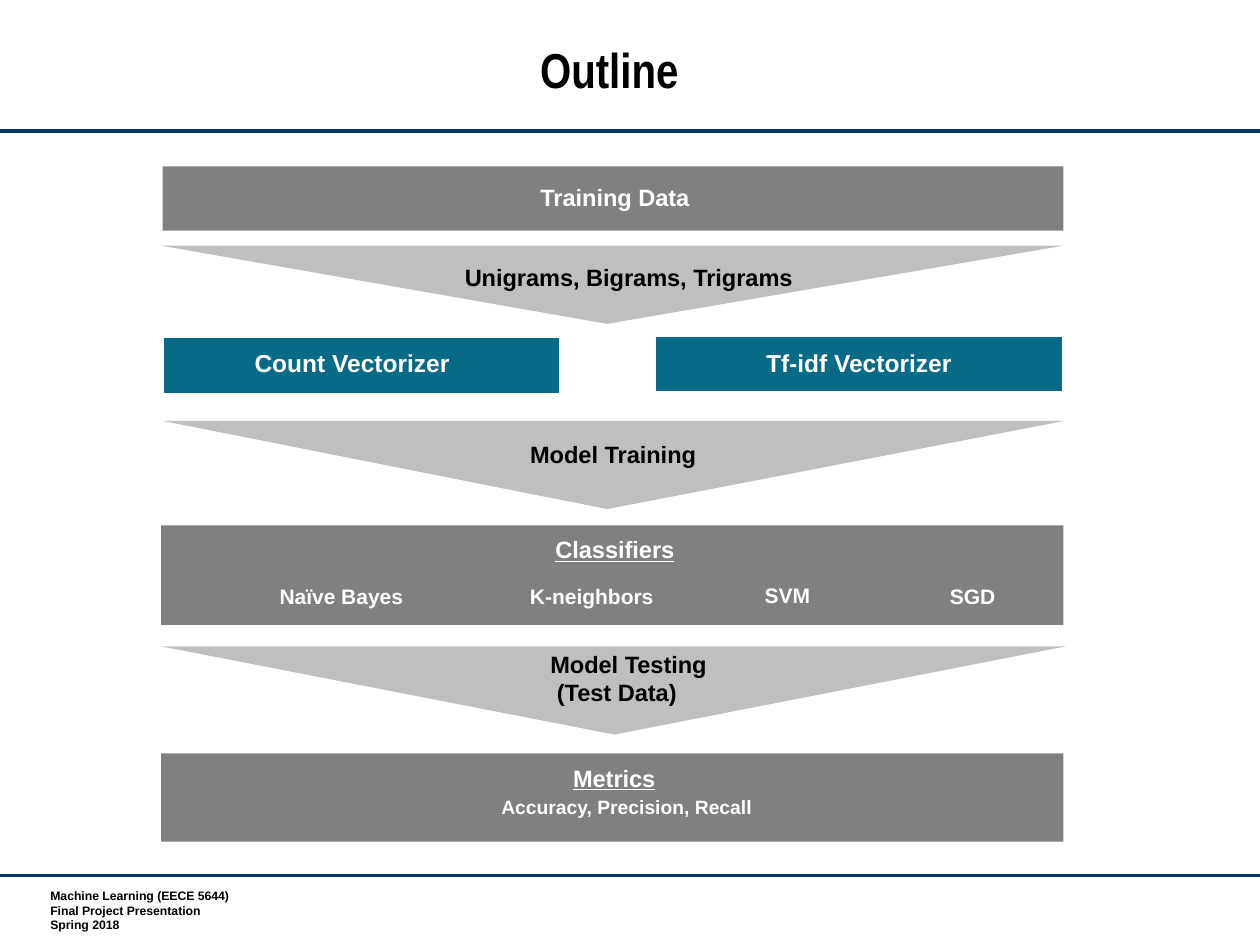
from dataclasses import dataclass

from lxml import etree
from pptx import Presentation
from pptx import util as u
from pptx.dml.color import RGBColor
from pptx.enum import shapes, text
from pptx.oxml.ns import qn


@dataclass(frozen=True)
class Theme:
    navy: str = "003767"
    grey: str = "808080"
    light: str = "BFBFBF"
    teal: str = "086A87"
    white: str = "FFFFFF"
    black: str = "000000"
    font: str = "Arial"
    title_font: str = "Arial Narrow"
    title: float = 28
    box: float = 14
    stage: float = 13.5
    item: float = 12
    detail: float = 11
    footer: float = 7


T = Theme()
INSET = (0.1, 0.05, 0.1, 0.05)


def inches(box):
    return [u.Inches(v) for v in box]


def within(box, x, y, w, h):
    return (box[0] + x, box[1] + y, w, h)


def write(sp, lines, size, color, font=T.font, align=text.PP_ALIGN.LEFT,
          anchor=text.MSO_ANCHOR.TOP, inset=INSET, underline=False):
    tf = sp.text_frame
    tf.word_wrap = True
    tf.vertical_anchor = anchor
    tf.margin_left, tf.margin_top, tf.margin_right, tf.margin_bottom = inches(inset)
    tf.text = lines
    for p in tf.paragraphs:
        p.alignment = align
        for r in p.runs:
            r.font.name = font
            r.font.size = u.Pt(size)
            r.font.bold = True
            r.font.underline = underline
            r.font.color.rgb = RGBColor.from_string(color)
    return tf


def label(s, box, lines, size, color, **style):
    return write(s.shapes.add_textbox(*inches(box)), lines, size, color, **style)


def block(s, box, fill, kind=shapes.MSO_SHAPE.RECTANGLE, line=None):
    sp = s.shapes.add_shape(kind, *inches(box))
    sp.shadow.inherit = False
    sp.fill.solid()
    sp.fill.fore_color.rgb = RGBColor.from_string(fill)
    if line:
        sp.line.color.rgb = RGBColor.from_string(line)
        sp.line.width = u.Pt(2)
    else:
        sp.line.fill.background()
    return sp


def rule(s, y):
    c = s.shapes.add_connector(shapes.MSO_CONNECTOR.STRAIGHT, *inches((0, y, 10, y)))
    c.line.color.rgb = RGBColor.from_string(T.navy)
    c.line.width = u.Pt(1.75)
    etree.SubElement(c._element.spPr, qn("a:effectLst"))


def header(s, box):
    rule(s, box[1] + 0.9)
    tf = label(s, box, "Outline ", T.title, T.black, font=T.title_font,
               align=text.PP_ALIGN.CENTER, anchor=text.MSO_ANCHOR.MIDDLE)
    tf.paragraphs[0].line_spacing = u.Pt(28)


def footer(s, box):
    rule(s, box[1] - 0.1)
    label(s, box, "Machine Learning (EECE 5644)\nFinal Project Presentation\nSpring 2018",
          T.footer, T.black, inset=(0.05, 0, 0, 0))


def training_data(s, box):
    block(s, box, T.grey)
    label(s, within(box, 2.9, 0.08, 1.92, 0.33), "Training Data", T.stage, T.white)


def step(s, box, tip, lines, place):
    sp = block(s, box, T.light, shapes.MSO_SHAPE.ISOSCELES_TRIANGLE)
    sp.rotation = 180
    sp.adjustments[0] = tip
    label(s, within(box, *place), lines, T.stage, T.black)


def vectorizer(s, box, name, x, y):
    block(s, box, T.teal, line=T.white)
    label(s, within(box, x, y, 2.11, 0.3), name, T.box, T.white, inset=(0, 0, 0, 0))


def classifiers(s, box):
    block(s, box, T.grey)
    label(s, within(box, 3.03, 0.03, 2.36, 0.33), "Classifiers", T.stage, T.white,
          underline=True)
    for name, x, h in (("Naïve Bayes", 0.75, 0.38), ("K-neighbors ", 2.76, 0.38),
                       ("SVM", 4.29, 0.36), ("SGD", 5.76, 0.38)):
        sp = block(s, within(box, x, 0.37, 1.36, h), T.grey)
        write(sp, name, T.item, T.white, align=text.PP_ALIGN.CENTER,
              anchor=text.MSO_ANCHOR.MIDDLE)


def metrics(s, box):
    block(s, box, T.grey)
    label(s, within(box, 3.17, 0.03, 0.93, 0.33), "Metrics", T.stage, T.white,
          underline=True)
    label(s, within(box, 2.6, 0.28, 2.65, 0.29), "Accuracy, Precision, Recall",
          T.detail, T.white)


prs = Presentation()
prs.slide_width, prs.slide_height = u.Inches(10), u.Inches(7.5)
s = prs.slides.add_slide(prs.slide_layouts[6])
header(s, (0.91, 0.14, 7.94, 0.89))
training_data(s, (1.29, 1.32, 7.15, 0.51))
step(s, (1.28, 1.95, 7.16, 0.62), 0.506, "Unigrams, Bigrams, Trigrams",
     (2.31, 0.09, 2.92, 0.33))
vectorizer(s, (1.29, 2.67, 3.16, 0.46), "Count Vectorizer", 0.73, 0.09)
vectorizer(s, (5.19, 2.66, 3.25, 0.46), "Tf-idf Vectorizer", 0.89, 0.1)
step(s, (1.29, 3.34, 7.16, 0.7), 0.507, "Model Training", (2.82, 0.1, 1.86, 0.33))
classifiers(s, (1.28, 4.17, 7.16, 0.79))
step(s, (1.28, 5.13, 7.18, 0.7), 0.499, "Model Testing\n (Test Data)",
     (2.99, -0.02, 1.84, 0.56))
metrics(s, (1.28, 5.98, 7.16, 0.7))
footer(s, (0.35, 7.05, 2.24, 0.31))
prs.save("out.pptx")
